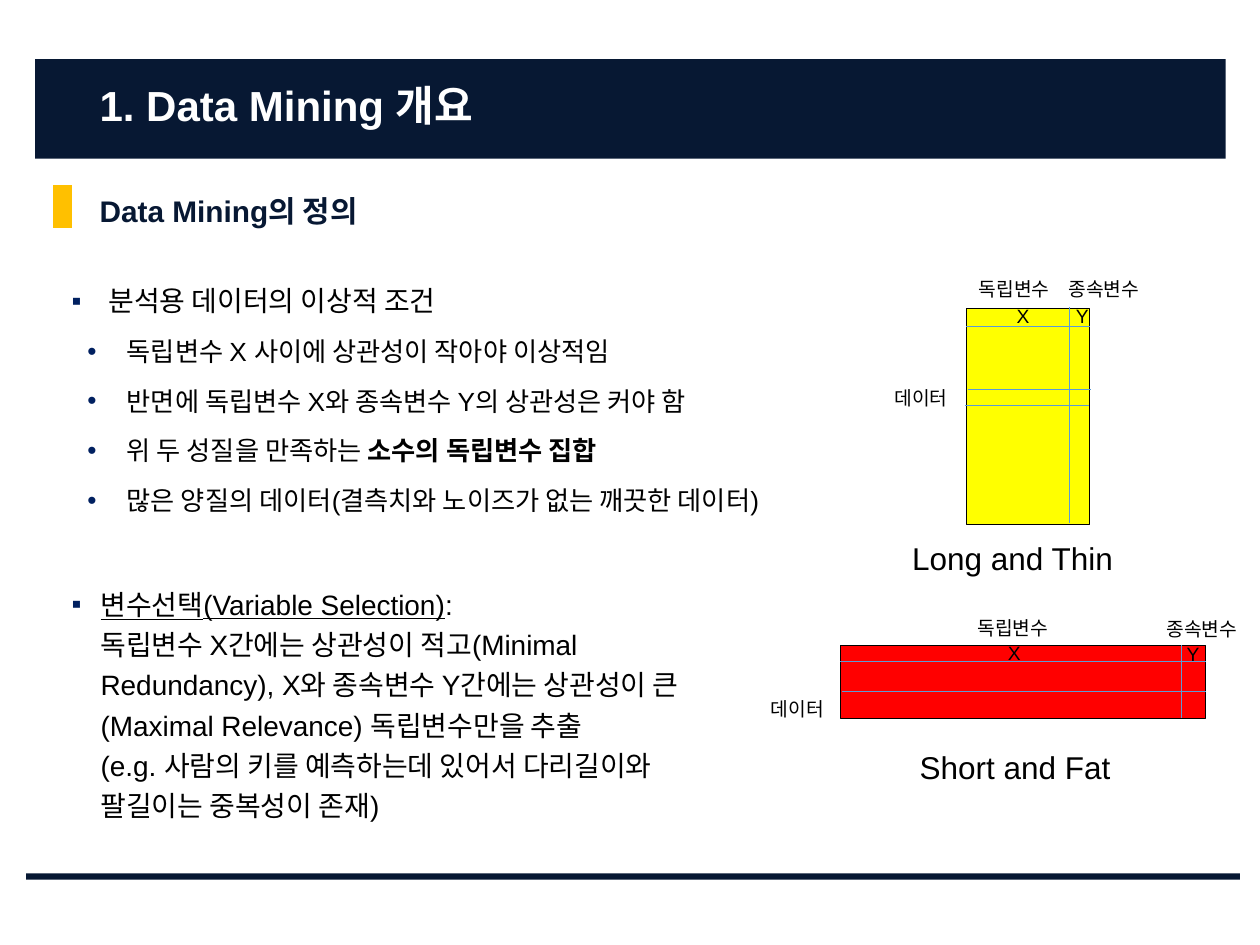
import pptx
import pptx.util
import pptx.dml.color
import pptx.enum.shapes
import pptx.enum.text
import lxml.etree

Pt = pptx.util.Pt
ANCHOR = pptx.enum.text.MSO_ANCHOR
NAVY = "071833"


def color(value):
    return pptx.dml.color.RGBColor.from_string(value)


def add_text(paragraph, text, size, shade="000000", **formats):
    """Add text to a paragraph; a newline becomes a line break."""
    for number, line in enumerate(text.split("\n")):
        if number:
            paragraph.add_line_break()
        run = paragraph.add_run()
        run.text = line
        values = {"name": "Arial", "size": Pt(size), "bold": False, **formats}
        for name, value in values.items():
            setattr(run.font, name, value)
        run.font.color.rgb = color(shade)


presentation = pptx.Presentation()
presentation.slide_width, presentation.slide_height = Pt(720), Pt(540)
slide = presentation.slides.add_slide(presentation.slide_layouts[4])
title, heading, body, *unused = slide.placeholders
for placeholder in unused:
    placeholder.element.getparent().remove(placeholder.element)

# Footer rule, title bar and heading marker, behind the text
for left, top, width, height, fill in [
    (15, 499, 693.5, 3.6, NAVY),
    (20, 33.8, 680.4, 56.9, NAVY),
    (30.3, 105.8, 10.8, 24.5, "FFC000"),
]:
    bar = slide.shapes.add_shape(
        pptx.enum.shapes.MSO_SHAPE.RECTANGLE, Pt(left), Pt(top), Pt(width), Pt(height))
    bar.shadow.inherit = False
    bar.fill.solid()
    bar.fill.fore_color.rgb = color(fill)
    bar.line.fill.background()
    title.element.addprevious(bar.element)

# Placeholder positions
for placeholder, box, anchor in [
    (title, (49.7, 41, 620.6, 41.8), ANCHOR.MIDDLE),
    (heading, (49.7, 108.7, 620.6, 24.5), ANCHOR.TOP),
    (body, (33.8, 156.2, 473.8, 321.1), ANCHOR.TOP),
]:
    for name, value in zip(("left", "top", "width", "height"), box):
        setattr(placeholder, name, Pt(value))
    frame_format = {"vertical_anchor": anchor, "word_wrap": True,
                    "auto_size": pptx.enum.text.MSO_AUTO_SIZE.NONE}
    for name, value in frame_format.items():
        setattr(placeholder.text_frame, name, value)

# Title and heading
for placeholder, text, size, shade, before in [
    (title, "1. Data Mining 개요", 24, "FFFFFF", 0),
    (heading, "Data Mining의 정의", 17, NAVY, 10),
]:
    paragraph = placeholder.text_frame.paragraphs[0]
    paragraph.alignment = pptx.enum.text.PP_ALIGN.LEFT
    paragraph.line_spacing = 0.9
    paragraph.space_before = Pt(before)
    add_text(paragraph, text, size, shade, bold=True)

# Bulleted list: level, size, left margin, indent, line spacing, space before, runs
main = (1, 16, 21, -21, 1.13, 0)
detail = (2, 15, 31.5, -22.5, 1.13, 0)
selection = (1, 16, 16.5, -21, 1.2, 29)
items = [
    (main, [("분석용 데이터의 이상적 조건", {})]),
    (detail, [("독립변수 X 사이에 상관성이 작아야 이상적임", {})]),
    (detail, [("반면에 독립변수 X와 종속변수 Y의 상관성은 커야 함", {})]),
    (detail, [("위 두 성질을 만족하는 ", {}), ("소수의 독립변수 집합", {"bold": True})]),
    (detail, [("많은 양질의 데이터(결측치와 노이즈가 없는 깨끗한 데이터)", {})]),
    (selection, [
        ("변수선택(Variable Selection)", {"underline": True}),
        (": \n독립변수 X간에는 상관성이 적고(Minimal \n"
         "Redundancy), X와 종속변수 Y간에는 상관성이 큰 \n"
         "(Maximal Relevance) 독립변수만을 추출\n"
         "(e.g. 사람의 키를 예측하는데 있어서 다리길이와 \n"
         "팔길이는 중복성이 존재)", {}),
    ]),
]
for number, ((level, size, margin, indent, spacing, before), runs) in enumerate(items):
    frame = body.text_frame
    paragraph = frame.add_paragraph() if number else frame.paragraphs[0]
    paragraph_format = {"level": level, "line_spacing": spacing,
                        "space_before": Pt(before), "space_after": Pt(8)}
    for name, value in paragraph_format.items():
        setattr(paragraph, name, value)
    properties = paragraph._p.get_or_add_pPr()
    properties.set("marL", str(Pt(margin)))
    properties.set("indent", str(Pt(indent)))
    bullet_color = lxml.etree.SubElement(properties, pptx.oxml.ns.qn("a:buClr"))
    lxml.etree.SubElement(bullet_color, pptx.oxml.ns.qn("a:srgbClr"), val="002060")
    lxml.etree.SubElement(properties, pptx.oxml.ns.qn("a:buFont"), typeface="Arial")
    lxml.etree.SubElement(properties, pptx.oxml.ns.qn("a:buChar"),
                          char="▪" if level == 1 else "•")
    for text, formats in runs:
        add_text(paragraph, text, size, **formats)

# Data matrices: table box, fill, grid lines, labels, caption
matrices = [
    ((552.2, 176.4, 70.6, 123.1), "FFFF00",
     [(611.3, 175.7, 611.3, 298.8), (552.2, 186.5, 622.8, 186.5),
      (553, 222.5, 623.5, 222.5), (551.5, 231.8, 622.1, 231.8)],
     [("독립변수", 552.2, 154.8), ("종속변수", 603.4, 154.8), ("데이터", 504, 217.4),
      ("X", 573.8, 170.6), ("Y", 607.7, 170.6)],
     ("Long and Thin", 514.1, 304.6)),
    ((480.2, 368.6, 208.8, 41.8), "FF0000",
     [(675.4, 368.6, 675.4, 410.4), (480.2, 378, 689, 378),
      (481, 395.3, 689, 395.3)],
     [("독립변수", 551.5, 348.5), ("종속변수", 659.5, 349.2), ("데이터", 433.4, 394.6),
      ("X", 568.8, 362.9), ("Y", 671, 363.6)],
     ("Short and Fat", 518.4, 424.1)),
]
for box, fill, lines, labels, caption in matrices:
    group = slide.shapes.add_group_shape()
    table_box = group.shapes.add_shape(
        pptx.enum.shapes.MSO_SHAPE.RECTANGLE, *map(Pt, box))
    table_box.shadow.inherit = False
    table_box.fill.solid()
    table_box.fill.fore_color.rgb = color(fill)
    table_box.line.color.rgb = color("000000")
    table_box.line.width = Pt(0.5)

    for ends in lines:
        line = group.shapes.add_connector(
            pptx.enum.shapes.MSO_CONNECTOR.STRAIGHT, *map(Pt, ends))
        line.line.color.rgb = color("5B9BD5")
        line.line.width = Pt(0.5)
        lxml.etree.SubElement(line.element.spPr, pptx.oxml.ns.qn("a:effectLst"))

    texts = [(group, label, 11, 24 if len(label[0]) == 1 else 67, 20.9) for label in labels]
    for parent, (text, left, top), size, width, height in texts + [(slide, caption, 18, 149.8, 28.8)]:
        text_box = parent.shapes.add_textbox(Pt(left), Pt(top), Pt(width), Pt(height))
        text_box.text_frame.word_wrap = True
        add_text(text_box.text_frame.paragraphs[0], text, size)

presentation.save("out.pptx")
